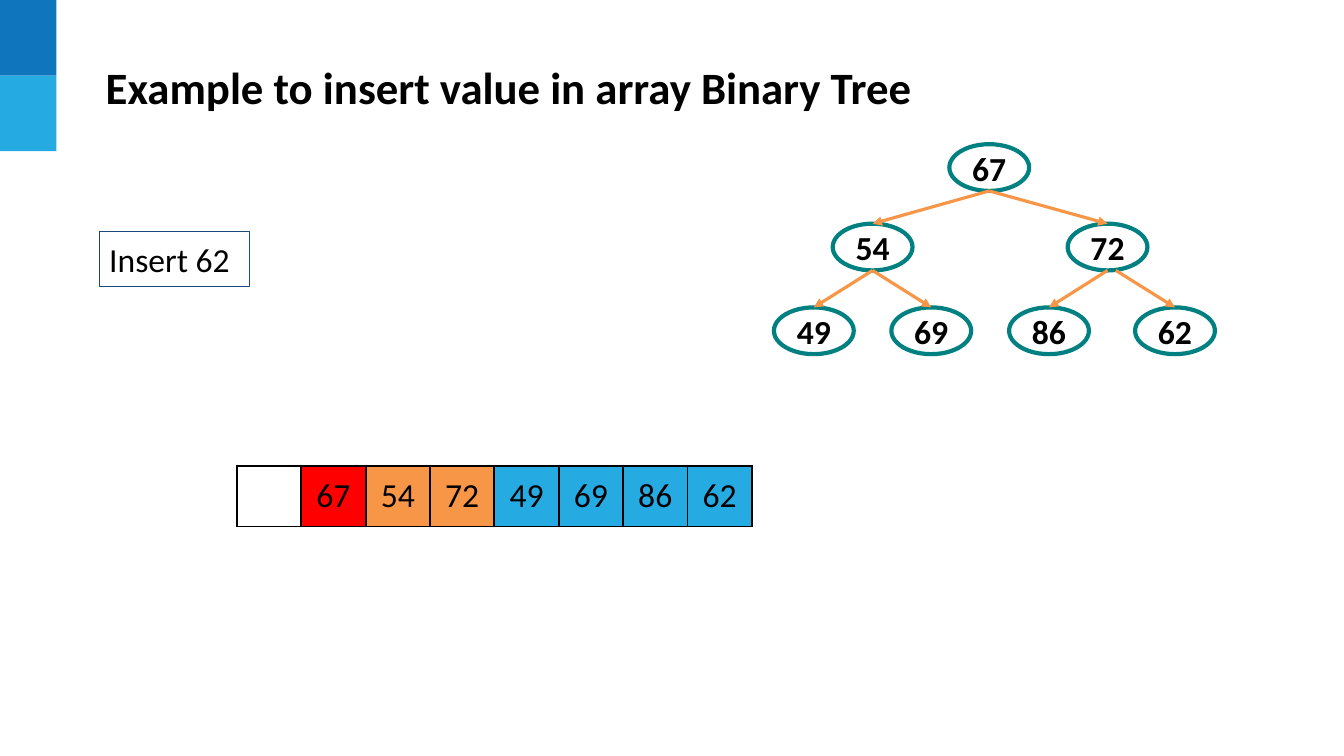
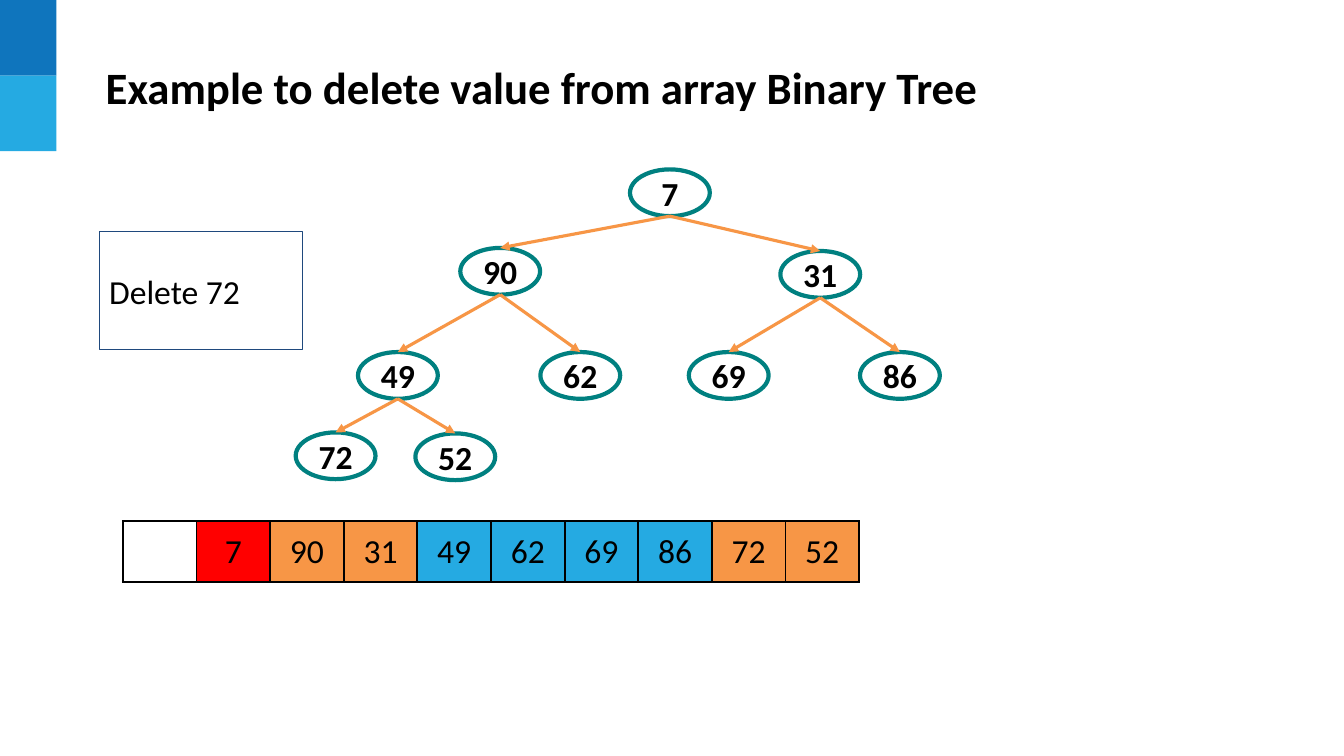
from lxml import etree
from pptx import Presentation
from pptx.dml.color import RGBColor
from pptx.enum.shapes import MSO_CONNECTOR as Connector, MSO_SHAPE as Shape
from pptx.enum.text import MSO_ANCHOR as Anchor, PP_ALIGN as Align
from pptx.oxml.ns import qn
from pptx.util import Pt

BLACK = RGBColor(0x00, 0x00, 0x00)
WHITE = RGBColor(0xFF, 0xFF, 0xFF)
DARK_BLUE = RGBColor(0x0F, 0x75, 0xBD)
LIGHT_BLUE = RGBColor(0x25, 0xAA, 0xE2)
NAVY = RGBColor(0x1F, 0x49, 0x7D)
TEAL = RGBColor(0x00, 0x80, 0x80)
ORANGE = RGBColor(0xF7, 0x96, 0x46)
RED = RGBColor(0xFF, 0x00, 0x00)

# One colour for each level of the tree, from the root down.
LEVEL_COLORS = [RED, ORANGE, LIGHT_BLUE, ORANGE]
NODE_WIDTH, NODE_HEIGHT = 57, 33.4
BAND_WIDTH, BAND_HEIGHT = 40.3, 54
ROW_HEIGHT = 43.5
BODY_FONT = {"name": "Calibri", "size": Pt(24), "bold": False}
NODE_FONT = {**BODY_FONT, "bold": True}
TITLE_FONT = {**NODE_FONT, "size": Pt(32)}


class TreeDeck:
    def __init__(self):
        self.deck = Presentation()
        self.deck.slide_width, self.deck.slide_height = Pt(960), Pt(540)
        self.page = None

    def add_page(self, title):
        self.page = self.deck.slides.add_slide(self.deck.slide_layouts[6])
        for row, color in enumerate([DARK_BLUE, LIGHT_BLUE]):
            self.shape(Shape.RECTANGLE, 0, row * BAND_HEIGHT,
                       BAND_WIDTH, BAND_HEIGHT, color)
        box = self.page.shapes.add_textbox(Pt(68.4), Pt(17.3), Pt(860.4), Pt(89.3))
        self.fill_frame(box.text_frame, title, TITLE_FONT)

    def shape(self, kind, left, top, width, height, fill, line=None, line_width=0):
        box = self.page.shapes.add_shape(kind, Pt(left), Pt(top), Pt(width), Pt(height))
        box.shadow.inherit = False
        box.fill.solid()
        box.fill.fore_color.rgb = fill
        if line is None:
            box.line.fill.background()
        else:
            box.line.color.rgb = line
            box.line.width = Pt(line_width)
        return box

    def fill_frame(self, frame, text, font, align=Align.LEFT, margin=3.6):
        """Fill a text frame with one paragraph; margin is above and below."""
        layout = {"word_wrap": True, "vertical_anchor": Anchor.MIDDLE,
                  "margin_left": Pt(7.2), "margin_right": Pt(7.2),
                  "margin_top": Pt(margin), "margin_bottom": Pt(margin)}
        for name, value in layout.items():
            setattr(frame, name, value)
        self.add_text(frame.paragraphs[0], text, font, align)

    def add_text(self, para, text, font, align):
        para.alignment = align
        span = para.add_run()
        span.text = text
        for name, value in font.items():
            setattr(span.font, name, value)
        span.font.color.rgb = BLACK

    def label(self, text, width, height):
        box = self.shape(Shape.RECTANGLE, 70.9, 165.6, width, height, WHITE, NAVY, 0.75)
        self.fill_frame(box.text_frame, text, BODY_FONT, margin=7.2)

    def node(self, value, center, top):
        oval = self.shape(Shape.OVAL, center - NODE_WIDTH / 2, top,
                          NODE_WIDTH, NODE_HEIGHT, WHITE, TEAL, 3)
        self.fill_frame(oval.text_frame, str(value), NODE_FONT, Align.CENTER)
        return oval

    def arrow(self, start_x, start_y, child):
        """Draw an arrow that ends at the top of the child node."""
        arrow = self.page.shapes.add_connector(
            Connector.STRAIGHT, Pt(start_x), Pt(start_y), child.left, child.top)
        arrow.end_connect(child, 0)
        arrow.line.color.rgb = ORANGE
        arrow.line.width = Pt(2.25)
        properties = arrow._element.spPr
        etree.SubElement(properties.find(qn("a:ln")), qn("a:tailEnd"), type="triangle")
        etree.SubElement(properties, qn("a:effectLst"))

    def tree(self, nodes, start_shifts):
        """Draw (value, center, top) nodes in array order, the root at index 1.

        start_shifts moves the start of the arrow to the node at that index.
        """
        ovals = [self.node(*node) for node in nodes]
        for index in range(2, len(nodes) + 1):
            _, center, top = nodes[index // 2 - 1]
            self.arrow(center + start_shifts.get(index, 0), top + NODE_HEIGHT,
                       ovals[index - 1])

    def array(self, values, left, top, cell_width):
        """Draw the tree array; the cell at index 0 stays empty."""
        count = len(values) + 1
        table = self.page.shapes.add_table(
            1, count, Pt(left), Pt(top), Pt(cell_width * count), Pt(ROW_HEIGHT)).table
        table.first_row = table.horz_banding = False
        for index in range(count):
            table.columns[index].width = Pt(cell_width)
            cell = table.cell(0, index)
            self.border(cell)
            cell.fill.solid()
            level = index.bit_length()
            cell.fill.fore_color.rgb = LEVEL_COLORS[level - 1] if index else WHITE
            for side in ("left", "top", "right", "bottom"):
                setattr(cell, f"margin_{side}", Pt(7.2))
            if index:
                self.add_text(cell.text_frame.paragraphs[0], str(values[index - 1]),
                              BODY_FONT, Align.CENTER)

    def border(self, cell):
        properties = cell._tc.get_or_add_tcPr()
        for side in "LRTB":
            line = etree.SubElement(properties, qn(f"a:ln{side}"), w=str(Pt(1.5)))
            fill = etree.SubElement(line, qn("a:solidFill"))
            etree.SubElement(fill, qn("a:srgbClr"), val=str(BLACK))

    def example(self, title, label, label_size, nodes, array_place, start_shifts=None):
        self.add_page(title)
        self.label(label, *label_size)
        self.tree(nodes, start_shifts or {})
        self.array([value for value, _, _ in nodes], *array_place)


def main():
    show = TreeDeck()
    show.example(
        "Example to insert value in array Binary Tree", "Insert 62", (107.3, 39),
        [(67, 706.6, 103), (54, 623.3, 159.8), (72, 791.1, 159.8),
         (49, 581.3, 219.6), (69, 665.2, 219.6), (86, 749.3, 219.6),
         (62, 839.3, 219.6)],
        (169.2, 332.6, 46), start_shifts={7: 6})
    show.example(
        "Example to delete value from array Binary Tree", "Delete 72", (145.4, 84.2),
        [(7, 478.5, 121), (90, 357.3, 177.1), (31, 585.9, 179.3),
         (49, 284.2, 251.5), (62, 414.5, 251.5), (69, 520.5, 251.5),
         (86, 642.8, 251.5), (72, 239.7, 308.9), (52, 325.2, 309.6)],
        (87.8, 372.2, 52.6))
    show.deck.save("out.pptx")


if __name__ == "__main__":
    main()
